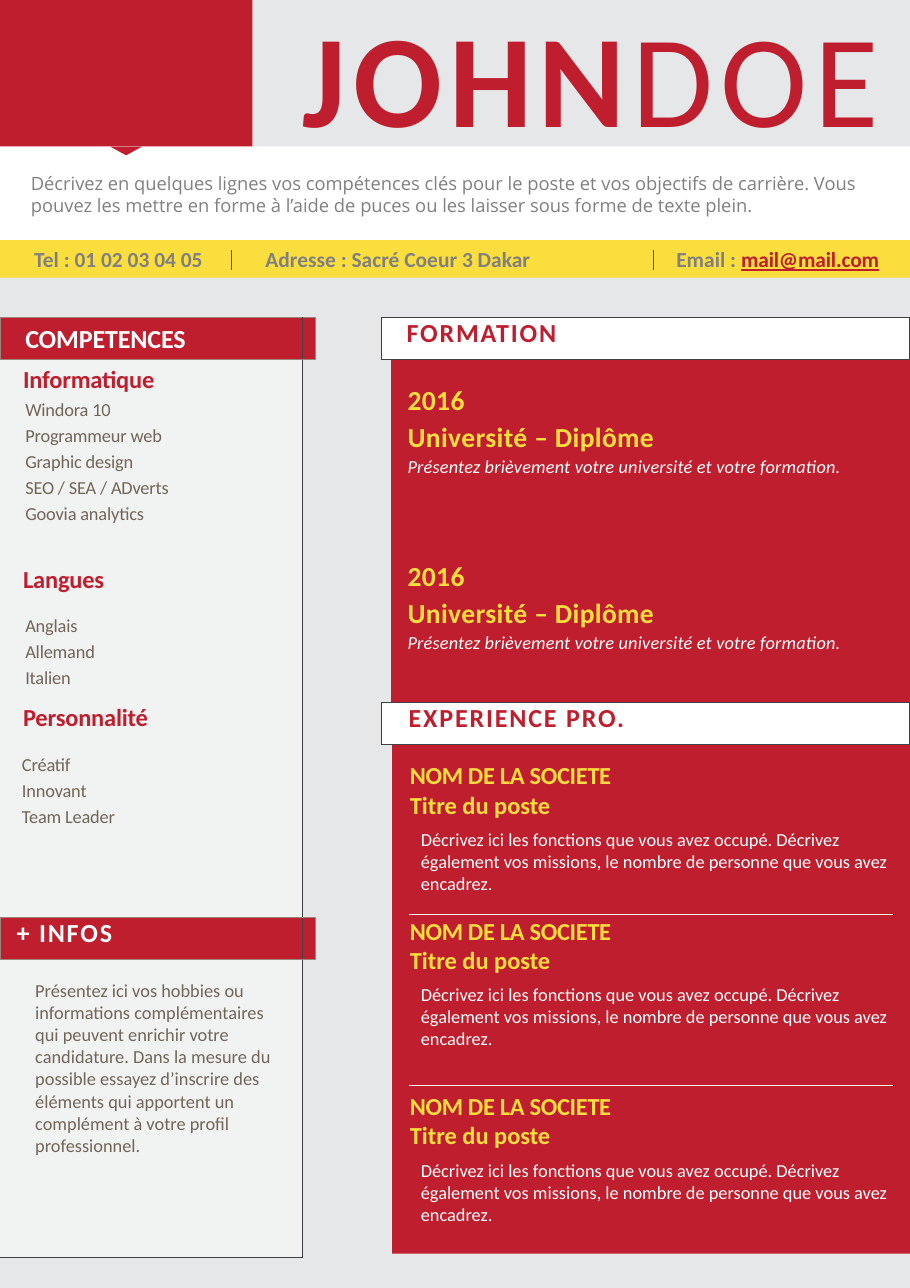
"""Build a one-page A4 résumé slide with a skills column and a career column."""
from lxml.etree import SubElement
from pptx import Presentation
from pptx.dml.color import RGBColor
from pptx.enum.shapes import MSO_CONNECTOR as Connector, MSO_SHAPE as Shape
from pptx.enum.text import MSO_ANCHOR as Anchor, PP_ALIGN as Align
from pptx.oxml.ns import qn
from pptx.util import Inches, Pt

WIDTH, HEIGHT = 8.26, 11.69
RED, YELLOW, WHITE = "BE1E2D", "F9DE3D", "FFFFFF"
MIST, PALE, GREY = "E6E7E8", "F1F2F2", "808080"
TAUPE, DARK, BEIGE = "726658", "414042", "9B8579"

STYLES = {
    "name": dict(size=86, color=RED, bold=True, spc=4.5),
    "surname": dict(size=86, color=RED, spc=4.5),
    "intro": dict(size=12, color=GREY, face="Open Sans"),
    "contact": dict(size=14, color=GREY, bold=True),
    "mail": dict(size=14, color=RED, bold=True, underline=True, spc=-0.1),
    "banner": dict(size=17, color=WHITE, bold=True, spc=-0.1),
    "wide banner": dict(size=17, color=WHITE, bold=True, spc=1.2),
    "red banner": dict(size=17, color=RED, bold=True, spc=1.2),
    "topic": dict(size=16, color=RED, bold=True, spc=-0.1),
    "skill": dict(size=12, color=TAUPE, spc=-0.1),
    "hobby": dict(size=12, color=TAUPE),
    "degree": dict(size=18, color=YELLOW, bold=True, spc=0.25),
    "school": dict(size=12, color=WHITE, italic=True, spc=0.1),
    "company": dict(size=16, color=YELLOW, bold=True, spc=-0.2),
    "job": dict(size=16, color=YELLOW, bold=True),
    "duties": dict(size=12, color=WHITE),
}

INTRO = ("Décrivez en quelques lignes vos compétences clés pour le poste et vos "
         "objectifs de carrière. Vous pouvez les mettre en forme à l’aide de puces "
         "ou les laisser sous forme de texte plein.")
CONTACTS = [
    (0.31, 1.75, Align.LEFT, [("Tel : 01 02 03 04 05", "contact")]),
    (2.41, 3.4, Align.LEFT, [("Adresse : Sacré Coeur 3 Dakar", "contact")]),
    (6, 1.98, Align.RIGHT, [("Email : ", "contact"), ("mail@mail.com", "mail")]),
]
CONTACT_BARS = [2.1, 5.93]
SKILLS = [
    ("Informatique", 3.3, 0.23, 3.58,
     ["Windora 10", "Programmeur web", "Graphic design", "SEO / SEA / ADverts",
      "Goovia analytics"]),
    ("Langues", 5.12, 0.23, 5.54, ["Anglais", "Allemand", "Italien"]),
    ("Personnalité", 6.37, 0.2, 6.8, ["Créatif", "Innovant", "Team Leader"]),
]
HOBBIES = ("Présentez ici vos hobbies ou informations complémentaires qui peuvent "
           "enrichir votre candidature. Dans la mesure du possible essayez d’inscrire "
           "des éléments qui apportent un complément à votre profil professionnel.")
DEGREES = [
    ("2016", "Université – Diplôme",
     "Présentez brièvement votre université et votre formation."),
] * 2
JOB = ("NOM DE LA SOCIETE", "Titre du poste",
       "Décrivez ici les fonctions que vous avez occupé. Décrivez également vos "
       "missions, le nombre de personne que vous avez encadrez.")
JOB_TOPS = [6.9, 8.31, 9.9]
JOB_RULES = [8.3, 9.85]

BANDS = [
    (Shape.RECTANGLE, 0, 2.51, WIDTH, HEIGHT - 2.51, MIST),
    (Shape.RECTANGLE, 0, 2.18, WIDTH, 0.34, YELLOW),
    (Shape.RECTANGLE, 2.29, 0, WIDTH - 2.29, 1.33, MIST),
    (Shape.RECTANGLE, 0, 0, 2.29, 1.33, RED),
    (Shape.FLOWCHART_MERGE, 1, 1.33, 0.29, 0.08, RED),
    (Shape.RECTANGLE, 3.56, 6.75, WIDTH - 3.56, 4.63, RED),
]


def paint(target, code):
    """Give a font colour or a fill its hex colour."""
    target.rgb = RGBColor.from_string(code)


def fill(owner, code):
    """Fill a shape, cell or line with one solid colour."""
    owner.fill.solid()
    paint(owner.fill.fore_color, code)


def add_run(paragraph, text, style):
    """Append one run set in a named style."""
    look = STYLES[style]
    run = paragraph.add_run()
    run.text = text
    font = run.font
    font.name, font.size = look.get("face", "Calibri"), Pt(look["size"])
    font.bold, font.italic = look.get("bold", False), look.get("italic", False)
    font.underline = look.get("underline", False)
    paint(font.color, look["color"])
    run._r.get_or_add_rPr().set("spc", str(round(look.get("spc", 0) * 100)))


def write(frame, lines, align=Align.LEFT, spacing=1.0):
    """Write lines of (runs, space before, indent) into a text frame."""
    for index, (runs, before, indent) in enumerate(lines):
        paragraph = frame.paragraphs[0] if index == 0 else frame.add_paragraph()
        paragraph.alignment, paragraph.line_spacing = align, spacing
        paragraph.space_before = Pt(before)
        paragraph._p.get_or_add_pPr().set("marL", str(Inches(indent)))
        for text, style in runs:
            add_run(paragraph, text, style)


def add_text(left, top, width, height, lines, anchor=Anchor.TOP, **layout):
    """Place a text box without insets."""
    frame = slide.shapes.add_textbox(*map(Inches, (left, top, width, height))).text_frame
    frame.word_wrap, frame.vertical_anchor = True, anchor
    frame.margin_left = frame.margin_right = frame.margin_top = frame.margin_bottom = 0
    write(frame, lines, **layout)


def add_rule(x1, y1, x2, y2, color, weight):
    """Draw a straight line."""
    rule = slide.shapes.add_connector(Connector.STRAIGHT, *map(Inches, (x1, y1, x2, y2)))
    paint(rule.line.color, color)
    rule.line.width = Pt(weight)
    SubElement(rule._element.spPr, qn("a:effectLst"))


def add_grid(left, top, columns, rows, fills, borders):
    """Add a table; borders hold one {side: colour} dict per cell."""
    grid = slide.shapes.add_table(len(rows), len(columns), *map(
        Inches, (left, top, sum(columns), sum(rows)))).table
    grid.first_row = grid.horz_banding = False
    for column, width in zip(grid.columns, columns):
        column.width = Inches(width)
    for r, height in enumerate(rows):
        grid.rows[r].height = Inches(height)
        for c in range(len(columns)):
            cell = grid.cell(r, c)
            cell.margin_left = cell.margin_right = cell.margin_top = cell.margin_bottom = 0
            properties = cell._tc.get_or_add_tcPr()
            for side in "LRTB":
                color = borders[r][c].get(side)
                edge = SubElement(properties, qn(f"a:ln{side}"), w=str(Pt(0.75)))
                if color:
                    solid = SubElement(edge, qn("a:solidFill"))
                    SubElement(solid, qn("a:srgbClr"), val=color)
                else:
                    SubElement(edge, qn("a:noFill"))
            fill(cell, fills[r][c])
    return grid


def fill_cell(cell, left, top, lines):
    """Write lines into a cell from a given inset."""
    cell.margin_left, cell.margin_top = Inches(left), Inches(top)
    write(cell.text_frame, lines)


deck = Presentation()
deck.slide_width, deck.slide_height = Inches(WIDTH), Inches(HEIGHT)
slide = deck.slides.add_slide(deck.slide_layouts[6])

for kind, *box, color in BANDS:
    band = slide.shapes.add_shape(kind, *map(Inches, box))
    band.shadow.inherit = False
    band.line.fill.background()
    fill(band, color)

add_text(2.75, -0.04, 5.5, 1.46, [([("JOHN", "name"), ("DOE", "surname")], 0, 0)])
add_text(0.28, 1.56, 7.7, 0.5, [([(INTRO, "intro")], 0, 0)])
for left, width, align, runs in CONTACTS:
    add_text(left, 2.18, width, 0.34, [(runs, 0, 0)], Anchor.MIDDLE, align=align)
for x in CONTACT_BARS:
    add_rule(x, 2.27, x, 2.45, RED, 1)

for top in JOB_TOPS:
    company, job, duties = JOB
    add_text(3.69, top, 4.44, 1.25, [([(company, "company")], 0, 0.03),
                                     ([(job, "job")], 0, 0.03),
                                     ([(duties, "duties")], 6, 0.13)])
for y in JOB_RULES:
    add_rule(3.71, y, 8.11, y, PALE, 0.5)

boxed, capped = dict.fromkeys("LRTB", DARK), dict.fromkeys("TB", DARK)
career = add_grid(3.46, 2.88, [0.09, 4.71], [0.38, 3.12, 0.38],
                  [[WHITE] * 2, [MIST, RED], [WHITE] * 2],
                  [[boxed] * 2, [capped] * 2, [boxed] * 2])
for row, title, inset in ((0, "FORMATION", 0.23), (2, "EXPERIENCE PRO.", 0.25)):
    career.cell(row, 0).merge(career.cell(row, 1))
    fill_cell(career.cell(row, 0), inset, 0, [([(title, "red banner")], 0, 0)])
fill_cell(career.cell(1, 1), 0.15, 0.23, [
    line for index, (year, degree, school) in enumerate(DEGREES)
    for line in (([(year, "degree")], 53.6 * index, 0), ([(degree, "degree")], 2, 0),
                 ([(school, "school")], 0.8, 0))])

ribbon = [dict(L=BEIGE, T=BEIGE, B=BEIGE, R=DARK), dict(L=DARK, T=BEIGE, B=BEIGE, R=BEIGE)]
panel = [dict(T=BEIGE, B=BEIGE, R=DARK), dict(L=DARK, T=BEIGE, B=BEIGE)]
footing = [dict(T=BEIGE, B=DARK, R=DARK), dict(L=DARK, T=BEIGE)]
profile = add_grid(0, 2.88, [2.75, 0.11], [0.38, 5.07, 0.38, 2.7],
                   [[RED] * 2, [PALE, MIST]] * 2, [ribbon, panel, ribbon, footing])
fill_cell(profile.cell(0, 0), 0.23, 0.06, [([("COMPETENCES", "banner")], 0, 0)])
fill_cell(profile.cell(2, 0), 0.15, 0, [([("+ INFOS", "wide banner")], 0, 0)])

for topic, topic_top, left, top, skills in SKILLS:
    add_text(0.21, topic_top, 2.3, 0.27, [([(topic, "topic")], 0, 0)])
    add_text(left, top, 2.4, 0.24 * len(skills),
             [([(skill, "skill")], 0, 0) for skill in skills], spacing=1.18)
add_text(0.32, 8.89, 2.17, 1.62, [([(HOBBIES, "hobby")], 0, 0)])

deck.save("out.pptx")
